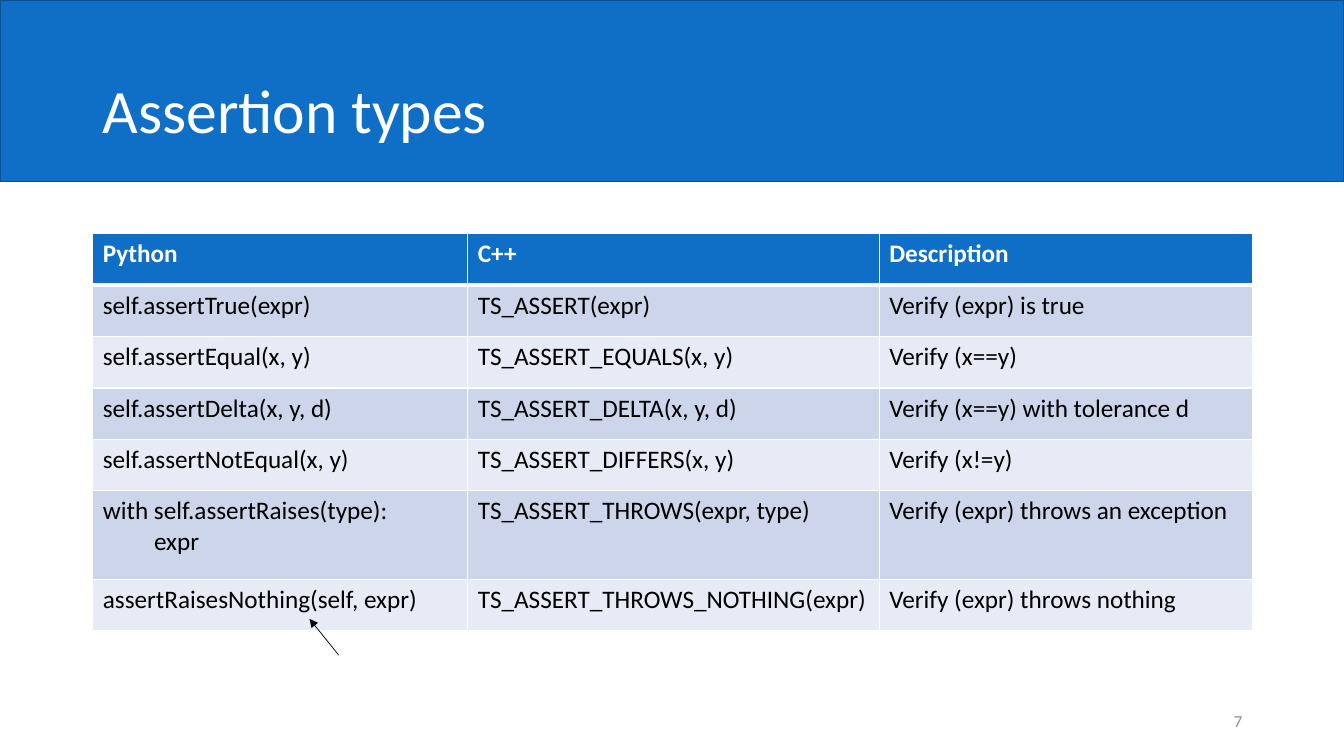
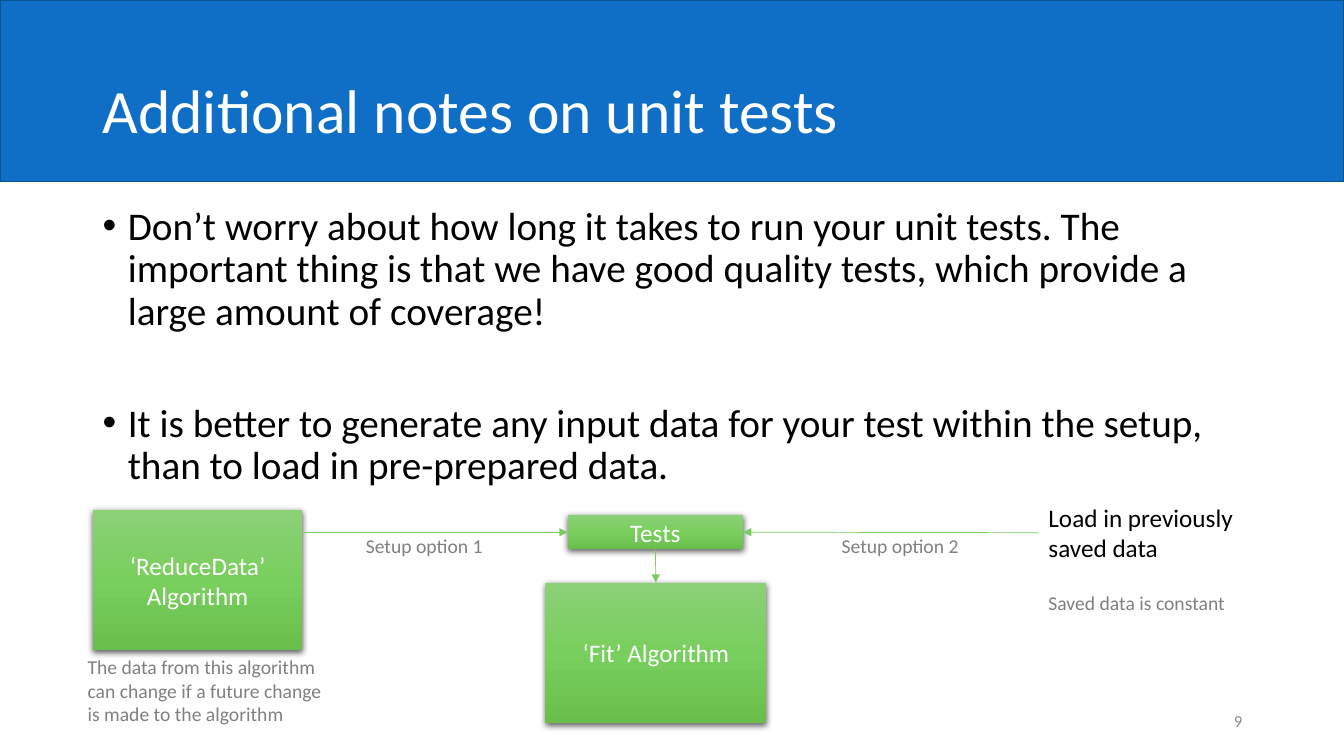
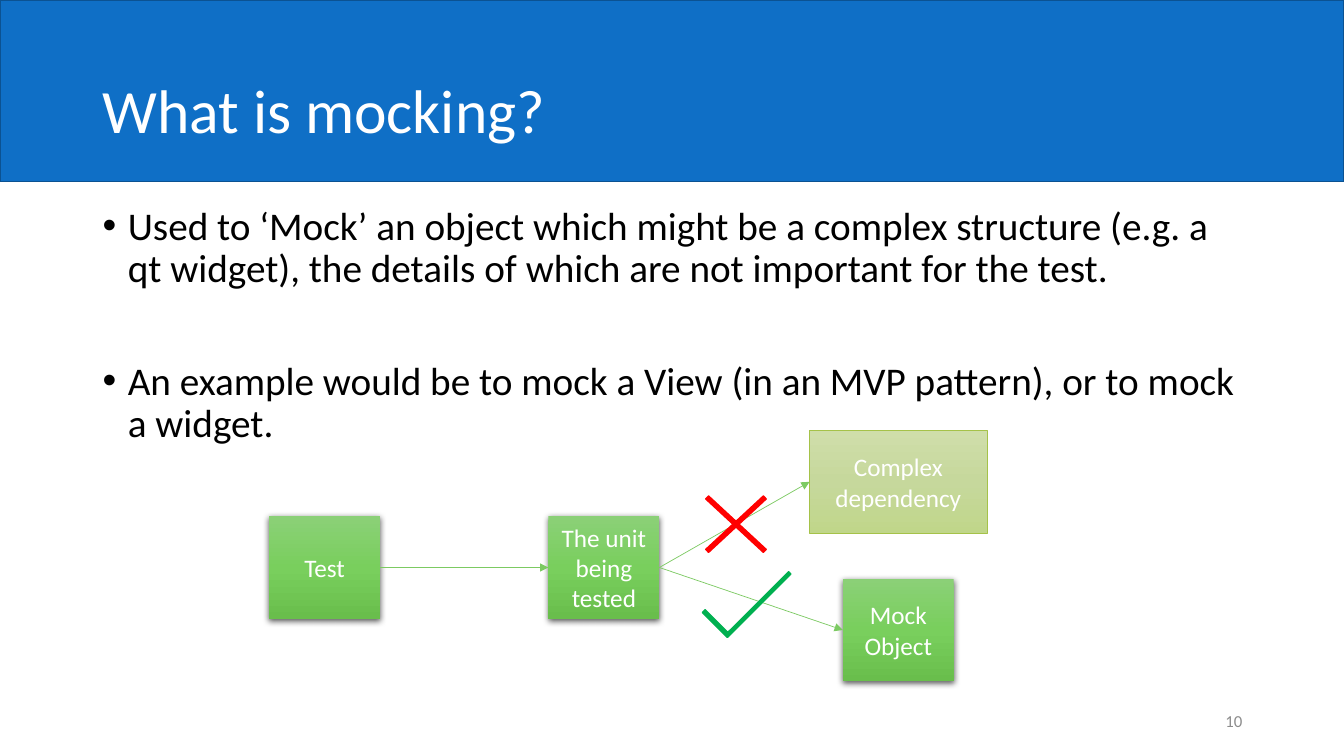
import copy
import typing

import pptx
import pptx.dml.color
import pptx.enum.shapes
import pptx.enum.text
import pptx.oxml
import pptx.oxml.ns
import pptx.util

RGB = pptx.dml.color.RGBColor
SHAPE = pptx.enum.shapes.MSO_SHAPE
ALIGN = pptx.enum.text.PP_ALIGN
ANCHOR = pptx.enum.text.MSO_ANCHOR
Inches = pptx.util.Inches
Pt = pptx.util.Pt

FONT = "Calibri"
WHITE = RGB(0xFF, 0xFF, 0xFF)
BLACK = RGB(0, 0, 0)
BLUE = RGB(0x0F, 0x6F, 0xC6)
NAVY = RGB(0x0B, 0x52, 0x92)
GRAY = RGB(0x80, 0x80, 0x80)
SILVER = RGB(0x8C, 0x8C, 0x8C)
GREEN = RGB(0x7C, 0xCA, 0x62)
OLIVE = RGB(0xA5, 0xC2, 0x49)
RED = RGB(0xFF, 0, 0)
TICK = RGB(0, 0xB0, 0x50)
BANDS = (RGB(0xE7, 0xEB, 0xF5), RGB(0xCC, 0xD5, 0xEA))
LIVE = (RGB(0x8B, 0xD0, 0x77), RGB(0x79, 0xCF, 0x5D), RGB(0x69, 0xBE, 0x4C))
FADED = (RGB(0xCF, 0xDE, 0xAA), RGB(0xC6, 0xD8, 0x9C), RGB(0xC0, 0xD6, 0x8A))

LEFT, WIDTH = 0.92, 11.5
TOP, WEST, BOTTOM, EAST = range(4)


class Area(typing.NamedTuple):
    x: float
    y: float
    w: float
    h: float

    def emu(self) -> list:
        return [Inches(side) for side in self]


class Box(typing.NamedTuple):
    text: str
    area: Area
    faded: bool = False


class Note(typing.NamedTuple):
    text: str
    area: Area
    size: int = 14
    color: RGB = GRAY


ROWS = (
    ("Python", "C++", "Description"),
    ("self.assertTrue(expr)", "TS_ASSERT(expr)", "Verify (expr) is true"),
    ("self.assertEqual(x, y)", "TS_ASSERT_EQUALS(x, y)", "Verify (x==y)"),
    ("self.assertDelta(x, y, d)", "TS_ASSERT_DELTA(x, y, d)",
     "Verify (x==y) with tolerance d"),
    ("self.assertNotEqual(x, y)", "TS_ASSERT_DIFFERS(x, y)", "Verify (x!=y)"),
    ("with self.assertRaises(type):\n         expr",
     "TS_ASSERT_THROWS(expr, type)", "Verify (expr) throws an exception"),
    ("assertRaisesNothing(self, expr)", "TS_ASSERT_THROWS_NOTHING(expr)",
     "Verify (expr) throws nothing"),
)


def add_xml(parent, tag: str, attrs: str = "", inner: str = "") -> None:
    space = pptx.oxml.ns.nsdecls("a")
    parent.append(
        pptx.oxml.parse_xml(f"<a:{tag} {space} {attrs}>{inner}</a:{tag}>"))


def write(frame, text: str, *, size: float = 18, color: RGB = BLACK,
          bold: bool = False, align=ALIGN.LEFT, anchor=ANCHOR.TOP,
          leading: float = 1, gap: float = 0, bullet: bool = False) -> None:
    """Fill a text frame, one paragraph for each line of text."""
    frame.word_wrap = True
    frame.vertical_anchor = anchor
    for i, line in enumerate(text.split("\n")):
        para = frame.add_paragraph() if i else frame.paragraphs[0]
        if bullet:
            props = para._p.get_or_add_pPr()
            props.set("marL", str(Inches(0.25)))
            props.set("indent", str(Inches(-0.25)))
            add_xml(props, "buFont", 'typeface="Arial"')
            add_xml(props, "buChar", 'char="•"')
        para.alignment = align
        para.line_spacing = leading
        if i:
            para.space_before = Pt(gap)
        run = para.add_run()
        run.text = line
        run.font.name = FONT
        run.font.size = Pt(size)
        run.font.bold = bold
        run.font.color.rgb = color


def label(slide, text: str, area: Area, **style):
    box = slide.shapes.add_textbox(*area.emu())
    write(box.text_frame, text, **style)
    return box


def note(slide, item: Note):
    return label(slide, item.text, item.area, size=item.size, color=item.color)


def plain(slide, kind, area: Area, fill: RGB, line: RGB):
    """Draw a flat shape with a one-point outline."""
    shape = slide.shapes.add_shape(kind, *area.emu())
    shape.shadow.inherit = False
    shape.fill.solid()
    shape.fill.fore_color.rgb = fill
    shape.line.color.rgb = line
    shape.line.width = Pt(1)
    return shape


def block(slide, box: Box):
    """Draw a gradient box: raised if live, outlined if faded."""
    shape = slide.shapes.add_shape(SHAPE.RECTANGLE, *box.area.emu())
    shape.shadow.inherit = False
    props = shape._element.spPr
    shape.fill.gradient()
    shape.fill.gradient_angle = 270
    stops = props.find(".//" + pptx.oxml.ns.qn("a:gsLst"))
    stops.append(copy.deepcopy(stops[0]))
    tones = FADED if box.faded else LIVE
    for stop, spot, tone in zip(shape.fill.gradient_stops, (0, 0.5, 1), tones):
        stop.position = spot
        stop.color.rgb = tone
    if box.faded:
        shape.line.color.rgb = OLIVE
        shape.line.width = Pt(0.5)
    else:
        shape.line.fill.background()
        add_xml(props.find(pptx.oxml.ns.qn("a:effectLst")), "outerShdw",
                f'blurRad="{Pt(4.5)}" dist="{Pt(1.5)}" dir="5400000" '
                'algn="ctr" rotWithShape="0"',
                '<a:srgbClr val="000000"><a:alpha val="63000"/></a:srgbClr>')
    write(shape.text_frame, box.text, color=WHITE, align=ALIGN.CENTER,
          anchor=ANCHOR.MIDDLE)
    return shape


def arrow(slide, start, end, color: RGB = GREEN) -> None:
    """Draw an arrow; each end is an (x, y) point or a (shape, side) joint."""
    ends = [(0, 0) if hasattr(e[0], "shape_id") else e for e in (start, end)]
    places = [Inches(n) for e in ends for n in e]
    line = slide.shapes.add_connector(
        pptx.enum.shapes.MSO_CONNECTOR.STRAIGHT, *places)
    for spot, join in ((start, line.begin_connect), (end, line.end_connect)):
        if hasattr(spot[0], "shape_id"):
            join(*spot)
    line.line.color.rgb = color
    line.line.width = Pt(0.5)
    props = line._element.spPr
    add_xml(props.find(pptx.oxml.ns.qn("a:ln")), "tailEnd", 'type="triangle"')
    add_xml(props, "effectLst")


def page(deck, title: str, number: int):
    """Add a slide with the title band and the page number."""
    slide = deck.slides.add_slide(deck.slide_layouts[6])
    plain(slide, SHAPE.RECTANGLE, Area(0, 0, 13.33, 1.8), BLUE, NAVY)
    label(slide, title, Area(LEFT, 0.4, WIDTH, 1.45), size=44, color=WHITE,
          anchor=ANCHOR.MIDDLE, leading=0.9)
    label(slide, str(number), Area(9.42, 6.95, 3, 0.4), size=12, color=SILVER,
          align=ALIGN.RIGHT, anchor=ANCHOR.MIDDLE)
    return slide


def points(slide, text: str) -> None:
    label(slide, text, Area(LEFT, 2, WIDTH, 4.76), size=28, leading=0.9,
          gap=50, bullet=True)


def edge(cell, row: int) -> None:
    """Give a cell white borders, heavy between header and body."""
    props = cell._tc.get_or_add_tcPr()
    heavy = {(0, "B"), (1, "T")}
    for side in "LRTB":
        width = Pt(3 if (row, side) in heavy else 1)
        add_xml(props, "ln" + side, f'w="{width}"',
                f'<a:solidFill><a:srgbClr val="{WHITE}"/></a:solidFill>')


def types(deck) -> None:
    slide = page(deck, "Assertion types", 7)
    area = Area(LEFT, 2.32, WIDTH, 3.95)
    table = slide.shapes.add_table(len(ROWS), 3, *area.emu()).table
    for column, width in zip(table.columns, (3.72, 4.08, 3.7)):
        column.width = Inches(width)
    for r, texts in enumerate(ROWS):
        tall = any("\n" in text for text in texts)
        table.rows[r].height = Inches(0.88 if tall else 0.51)
        for c, text in enumerate(texts):
            cell = table.cell(r, c)
            edge(cell, r)
            cell.fill.solid()
            cell.fill.fore_color.rgb = BANDS[r % 2] if r else BLUE
            write(cell.text_frame, text, color=BLACK if r else WHITE,
                  bold=r == 0)
    arrow(slide, (3.36, 6.5), (3.07, 6.14), BLACK)


def notes(deck) -> None:
    slide = page(deck, "Additional notes on unit tests", 9)
    points(slide, "Don’t worry about how long it takes to run your unit tests. "
           "The important thing is that we have good quality tests, which "
           "provide a large amount of coverage!\n"
           "It is better to generate any input data for your test within the "
           "setup, than to load in pre-prepared data.")
    block(slide, Box("‘ReduceData’ Algorithm", Area(LEFT, 5.06, 2.08, 1.39)))
    fit = block(slide, Box("‘Fit’ Algorithm", Area(5.41, 5.78, 2.19, 1.39)))
    tests = block(slide, Box("Tests", Area(5.63, 5.11, 1.74, 0.34)))
    saved = note(slide, Note("Load in previously saved data",
                             Area(10.3, 4.93, 2.39, 0.71), 18, BLACK))
    for item in (
        Note("Saved data is constant", Area(10.3, 5.81, 2.53, 0.34)),
        Note("The data from this algorithm can change if a future change is "
             "made to the algorithm", Area(0.77, 6.45, 2.53, 0.81)),
        Note("Setup option 1", Area(3.53, 5.25, 2.53, 0.34)),
        Note("Setup option 2", Area(8.25, 5.25, 2.53, 0.34)),
    ):
        note(slide, item)
    arrow(slide, (3, 5.28), (tests, WEST))
    arrow(slide, (saved, WEST), (tests, EAST))
    arrow(slide, (tests, BOTTOM), (fit, TOP))


def mocking(deck) -> None:
    slide = page(deck, "What is mocking?", 10)
    points(slide, "Used to ‘Mock’ an object which might be a complex structure "
           "(e.g. a qt widget), the details of which are not important for the "
           "test.\n"
           "An example would be to mock a View (in an MVP pattern), or to mock "
           "a widget.")
    wide, high = 1.1, 1.02
    hard, test, unit, mock = [block(slide, box) for box in (
        Box("Complex dependency", Area(8.03, 4.27, 1.76, high), True),
        Box("Test", Area(2.67, 5.12, wide, high)),
        Box("The unit being tested", Area(5.44, 5.12, wide, high)),
        Box("Mock Object", Area(8.36, 5.74, wide, high)),
    )]
    arrow(slide, (test, EAST), (unit, WEST))
    for goal in (hard, mock):
        arrow(slide, (unit, EAST), (goal, WEST))
    cross = plain(slide, SHAPE.MATH_MULTIPLY, Area(6.75, 4.69, wide, high),
                  RED, RED)
    cross.adjustments[0] = 0.04
    tick = plain(slide, SHAPE.from_xml("corner"),
                 Area(6.96, 5.71, 0.89, 0.35), TICK, TICK)
    tick.adjustments[0] = 0.09
    tick.adjustments[1] = 0.11
    tick.rotation = 315


def main() -> None:
    deck = pptx.Presentation()
    deck.slide_width = Inches(13.33)
    deck.slide_height = Inches(7.5)
    for build in (types, notes, mocking):
        build(deck)
    deck.save("out.pptx")


if __name__ == "__main__":
    main()
